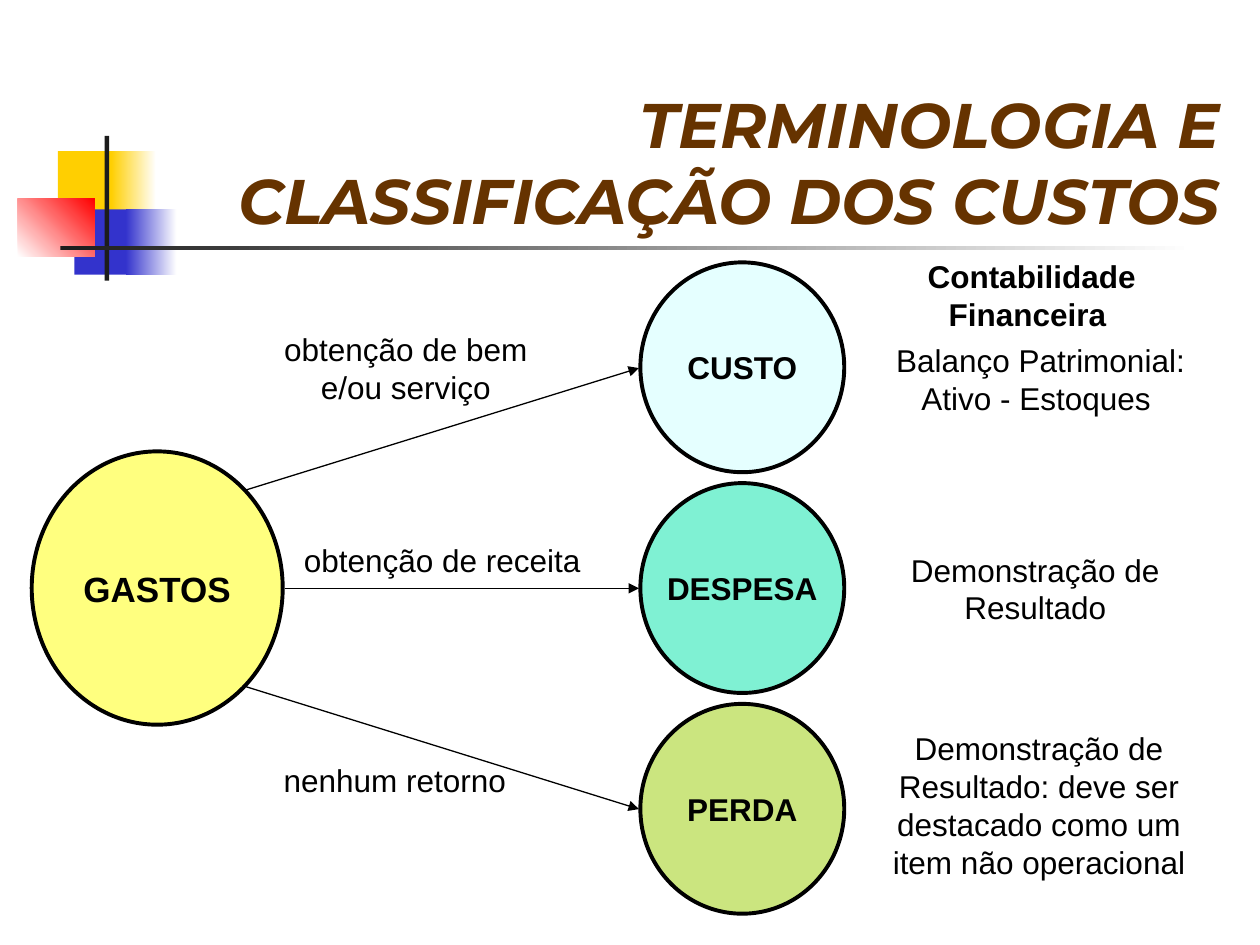
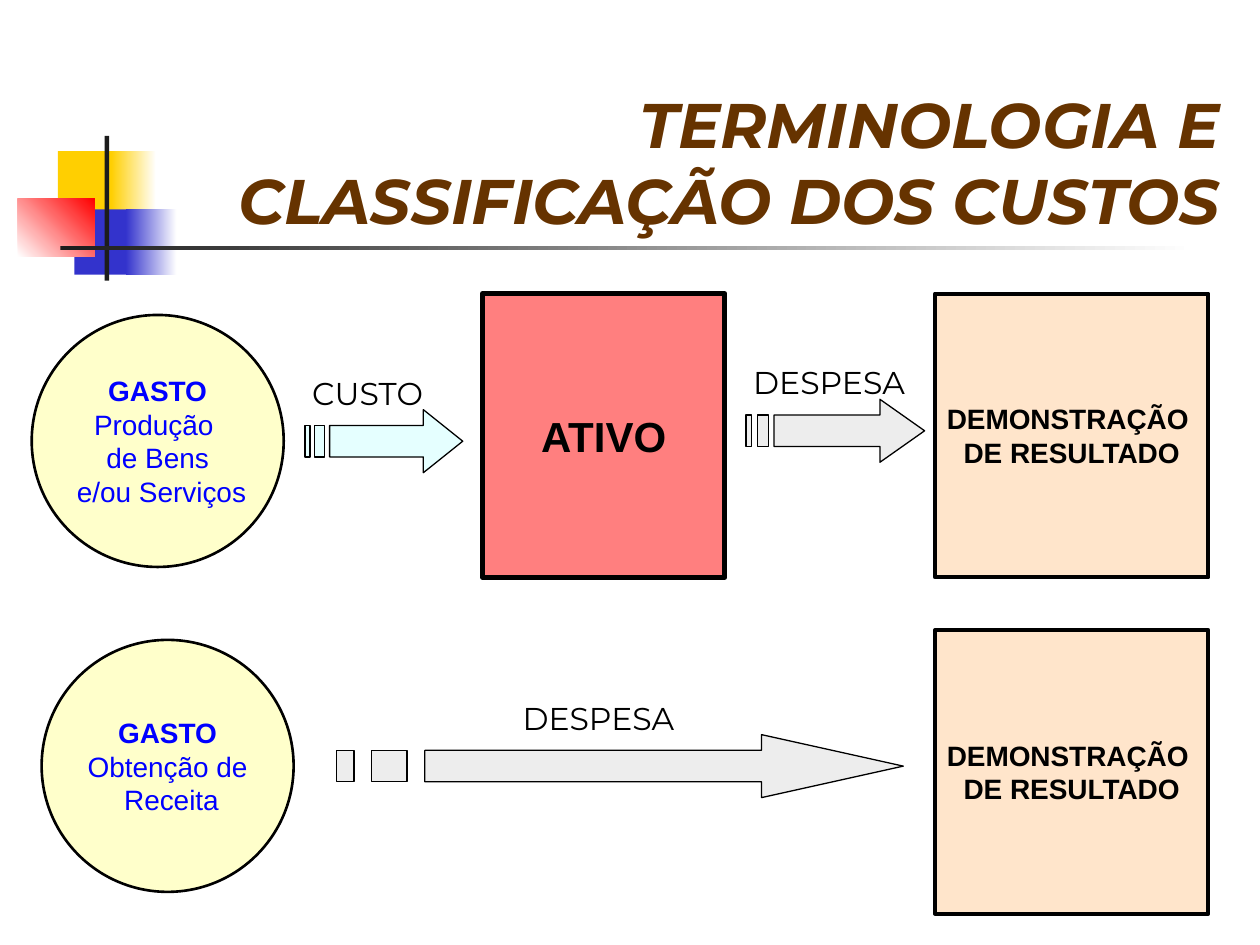
from pptx import Presentation
from pptx.dml.color import RGBColor
from pptx.enum.shapes import MSO_CONNECTOR, MSO_SHAPE
from pptx.enum.text import MSO_ANCHOR, MSO_AUTO_SIZE, PP_ALIGN
from pptx.oxml.ns import qn
from pptx.util import Cm, Pt
from lxml.etree import SubElement

BLACK = RGBColor(0x00, 0x00, 0x00)
WHITE = RGBColor(0xFF, 0xFF, 0xFF)
CHARCOAL = RGBColor(0x1C, 0x1C, 0x1C)
BROWN = RGBColor(0x66, 0x33, 0x00)
GOLD = RGBColor(0xFF, 0xCF, 0x01)
INDIGO = RGBColor(0x33, 0x33, 0xCC)
RED = RGBColor(0xFF, 0x00, 0x00)
BLUE = RGBColor(0x00, 0x00, 0xFF)
YELLOW = RGBColor(0xFF, 0xFF, 0x00)
PALE_YELLOW = RGBColor(0xFF, 0xFF, 0x99)
CYAN = RGBColor(0xCC, 0xFF, 0xFF)
TEAL = RGBColor(0x00, 0xE4, 0xA8)
LIME = RGBColor(0x99, 0xCC, 0x00)
PEACH = RGBColor(0xFF, 0xCC, 0x99)
GREY = RGBColor(0xDD, 0xDD, 0xDD)

BODY_FONT = "Arial"
TITLE_FONT = "Montserrat"
TIGHT = (0.18, 0.1)
NORMAL = (0.25, 0.13)
TITLE = ["TERMINOLOGIA E", "CLASSIFICAÇÃO DOS CUSTOS"]
RESULT = ["DEMONSTRAÇÃO ", "DE RESULTADO"]


def cm(*lengths):
    return [Cm(length) for length in lengths]


def write(sp, lines, size, color=BLACK, font=BODY_FONT, bold_lines=0, italic=False,
          align=PP_ALIGN.CENTER, anchor=MSO_ANCHOR.MIDDLE, margins=NORMAL,
          wrap=False, before=0):
    """Fill sp with one paragraph per line; the first bold_lines are bold."""
    tf = sp.text_frame
    tf.word_wrap = wrap
    tf.vertical_anchor = anchor
    tf.margin_left = tf.margin_right = Cm(margins[0])
    tf.margin_top = tf.margin_bottom = Cm(margins[1])
    tf.text = "\n".join(lines)
    for i, p in enumerate(tf.paragraphs):
        p.alignment = align
        p.space_before = Pt(before)
        p.font.name = font
        p.font.size = Pt(size)
        p.font.color.rgb = color
        p.font.bold = i < bold_lines
        p.font.italic = italic


def style_translucent(sp, fill, line_width):
    """Half-transparent fill with a black outline."""
    sp.shadow.inherit = False
    sp.fill.solid()
    sp.fill.fore_color.rgb = fill
    srgb = sp._element.spPr.find(qn("a:solidFill")).find(qn("a:srgbClr"))
    SubElement(srgb, qn("a:alpha")).set("val", "50000")
    sp.line.color.rgb = BLACK
    sp.line.width = Pt(line_width)


def add_block(s, kind, box, fill, line_width, lines, size, **options):
    sp = s.shapes.add_shape(kind, *cm(*box))
    style_translucent(sp, fill, line_width)
    write(sp, lines, size, **options)


def add_label(s, box, text, **options):
    sp = s.shapes.add_textbox(*cm(*box))
    write(sp, [text], 18, anchor=MSO_ANCHOR.TOP, wrap=True, **options)
    sp.text_frame.auto_size = MSO_AUTO_SIZE.SHAPE_TO_FIT_TEXT


def add_bar(s, box, start, end=None, angle=0):
    """Borderless rectangle, plain or with a gradient from start to end."""
    sp = s.shapes.add_shape(MSO_SHAPE.RECTANGLE, *cm(*box))
    sp.shadow.inherit = False
    sp.line.fill.background()
    if end is None:
        sp.fill.solid()
        sp.fill.fore_color.rgb = start
        return
    sp.fill.gradient()
    sp.fill.gradient_angle = angle
    for stop, color in zip(sp.fill.gradient_stops, (start, end)):
        stop.color.rgb = color


def add_arrow_line(s, *ends):
    connector = s.shapes.add_connector(MSO_CONNECTOR.STRAIGHT, *cm(*ends))
    connector.line.color.rgb = BLACK
    connector.line.width = Pt(0.75)
    sp_pr = connector._element.spPr
    SubElement(sp_pr.find(qn("a:ln")), qn("a:tailEnd")).set("type", "triangle")
    SubElement(sp_pr, qn("a:effectLst"))


def add_striped_arrow(s, left, top, width, height, fill):
    """Arrow trailed by two stripes, all in proportion to its width."""
    def at(across, down):
        return Cm(left + width * across / 32), Cm(top + height * down / 4)

    head = [(24, 0), (24, 1), (5, 1), (5, 3), (24, 3), (24, 4), (32, 2)]
    stripes = [[(a, 1), (a, 3), (b, 3), (b, 1)] for a, b in ((2, 4), (0, 1))]
    builder = s.shapes.build_freeform(*at(*head[0]))
    builder.add_line_segments([at(*point) for point in head[1:]])
    for stripe in stripes:
        builder.move_to(*at(*stripe[0]))
        builder.add_line_segments([at(*point) for point in stripe[1:]])
    style_translucent(builder.convert_to_shape(), fill, 0.75)


def add_base_slide(prs):
    """Blank slide with the coloured squares, the crossing rules and the title."""
    s = prs.slides.add_slide(prs.slide_layouts[6])
    add_bar(s, (1.17, 3.05, 1.22, 1.32), GOLD)
    add_bar(s, (2.24, 3.05, 0.91, 1.32), GOLD, WHITE)
    add_bar(s, (1.5, 4.22, 1.17, 1.32), INDIGO)
    add_bar(s, (2.54, 4.22, 1.02, 1.32), INDIGO, WHITE)
    add_bar(s, (0.36, 4.01, 1.55, 1.17), WHITE, RED, angle=45)
    add_bar(s, (2.11, 2.74, 0.09, 2.92), CHARCOAL)
    add_bar(s, (1.22, 4.95, 22.86, 0.09), CHARCOAL, WHITE)
    title = s.shapes.add_textbox(*cm(2.54, 1.73, 22.3, 3.18))
    write(title, TITLE, 36, BROWN, TITLE_FONT, bold_lines=2, italic=True,
          align=PP_ALIGN.RIGHT, anchor=MSO_ANCHOR.BOTTOM, wrap=True)
    return s


def build_spending_types(prs):
    s = add_base_slide(prs)
    add_block(s, MSO_SHAPE.OVAL, (0.64, 9.1, 5.06, 5.51), YELLOW, 2.25,
              ["GASTOS"], 20, bold_lines=1, margins=TIGHT)
    types = [("CUSTO", CYAN), ("DESPESA", TEAL), ("PERDA", LIME)]
    for i, (name, fill) in enumerate(types):
        add_block(s, MSO_SHAPE.OVAL, (12.91, 5.29 + 4.45 * i, 4.11, 4.23), fill, 2.25,
                  [name], 18, bold_lines=1, margins=TIGHT)

    labels = [
        ((5.08, 6.55, 6.2, 1.7), "obtenção de bem e/ou serviço", 11.2),
        ((5.92, 10.8, 5.99, 0.94), "obtenção de receita", 11.2),
        ((5.28, 15.24, 5.36, 0.94), "nenhum retorno", 11.2),
        ((17.42, 6.78, 7.11, 1.7), "Balanço Patrimonial: Ativo - Estoques ", 8.1),
        ((17.15, 11, 7.44, 1.7), "Demonstração de Resultado", 11.2),
        ((17.35, 14.6, 7.19, 3.23), "Demonstração de Resultado: deve ser "
         "destacado como um item não operacional", 11.2),
    ]
    for box, text, before in labels:
        add_label(s, box, text, before=before, margins=TIGHT)
    add_label(s, (16.94, 5.08, 7.72, 1.7), "Contabilidade Financeira ",
              before=8.1, margins=TIGHT, bold_lines=1)

    add_arrow_line(s, 4.95, 9.88, 12.88, 7.42)
    add_arrow_line(s, 5.74, 11.86, 12.88, 11.86)
    add_arrow_line(s, 4.95, 13.84, 12.88, 16.31)


def build_spending_flow(prs):
    s = add_base_slide(prs)
    spendings = [
        (0.64, 6.35, ["GASTO", "Produção ", "de Bens", " e/ou Serviços"]),
        (0.84, 12.9, ["GASTO", "Obtenção de", " Receita"]),
    ]
    for left, top, lines in spendings:
        add_block(s, MSO_SHAPE.OVAL, (left, top, 5.08, 5.08), PALE_YELLOW, 1.5,
                  lines, 16, color=BLUE, bold_lines=1)
    add_block(s, MSO_SHAPE.RECTANGLE, (9.73, 5.92, 4.88, 5.72), RED, 3,
              ["ATIVO"], 24, bold_lines=1)
    for top in (5.92, 12.7):
        add_block(s, MSO_SHAPE.RECTANGLE, (18.85, top, 5.51, 5.72), PEACH, 2.25,
                  RESULT, 16, bold_lines=2)

    add_striped_arrow(s, 6.15, 8.26, 3.18, 1.27, CYAN)
    add_striped_arrow(s, 6.78, 14.81, 11.43, 1.27, GREY)
    add_striped_arrow(s, 15.04, 8.05, 3.6, 1.27, GREY)
    captions = [(5.72, 7.42, 3.38, "CUSTO"), (14.81, 7.19, 3.81, "DESPESA"),
                (10.16, 13.97, 3.81, "DESPESA")]
    for left, top, width, text in captions:
        add_label(s, (left, top, width, 1.02), text, font=TITLE_FONT, before=11.2)


def main():
    prs = Presentation()
    prs.slide_width, prs.slide_height = cm(25.4, 19.05)
    build_spending_types(prs)
    build_spending_flow(prs)
    prs.save("out.pptx")


if __name__ == "__main__":
    main()
